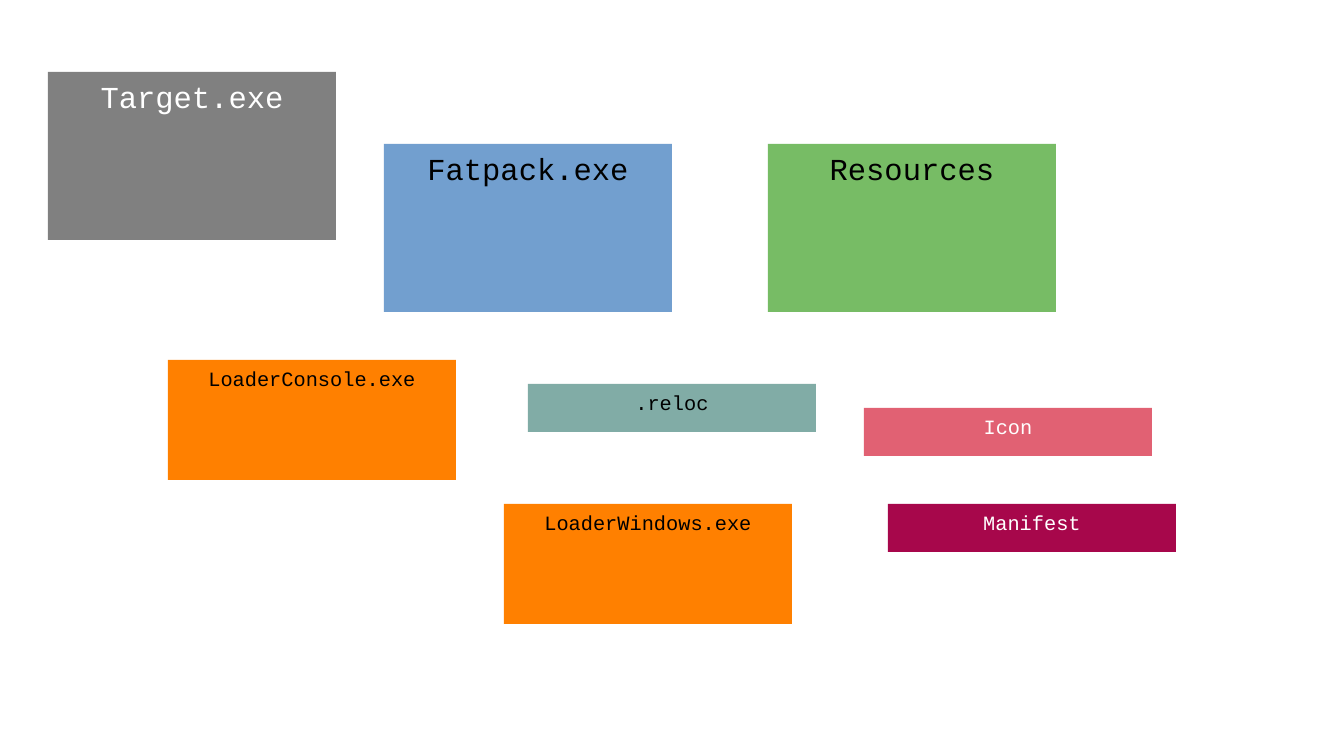
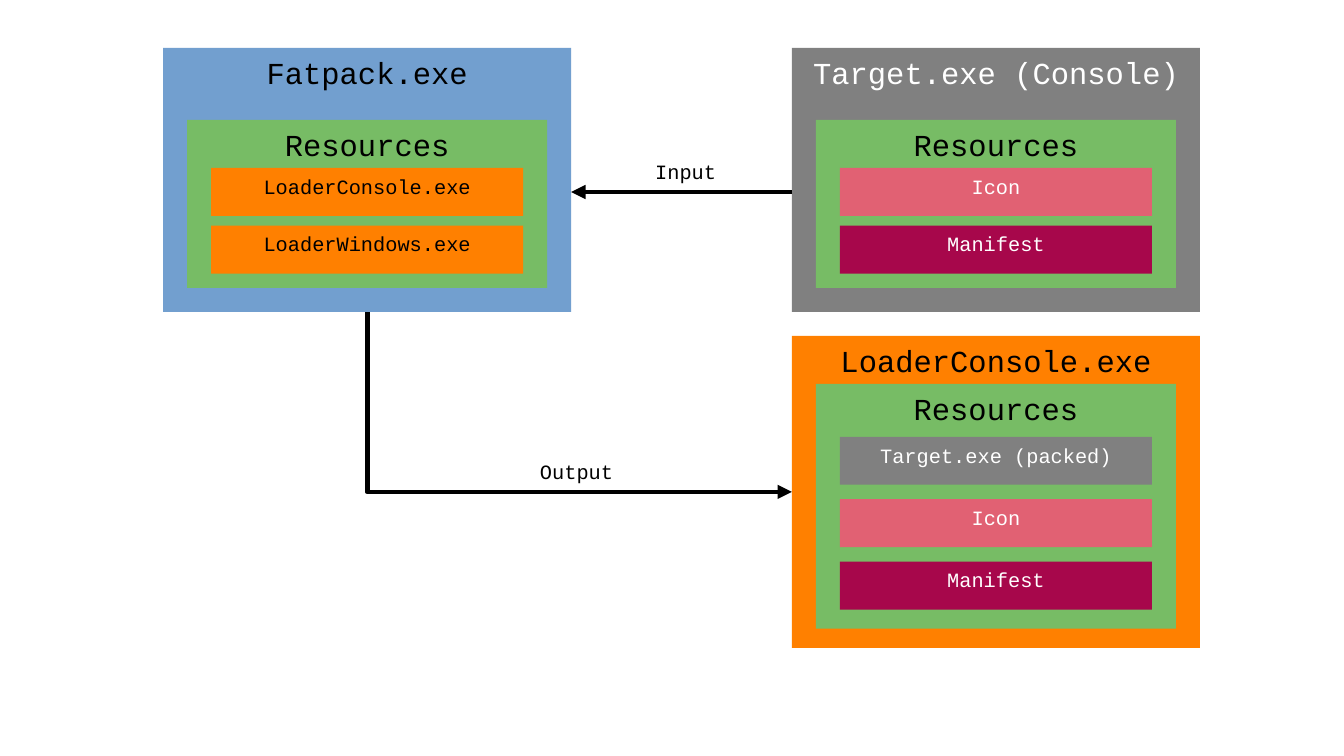
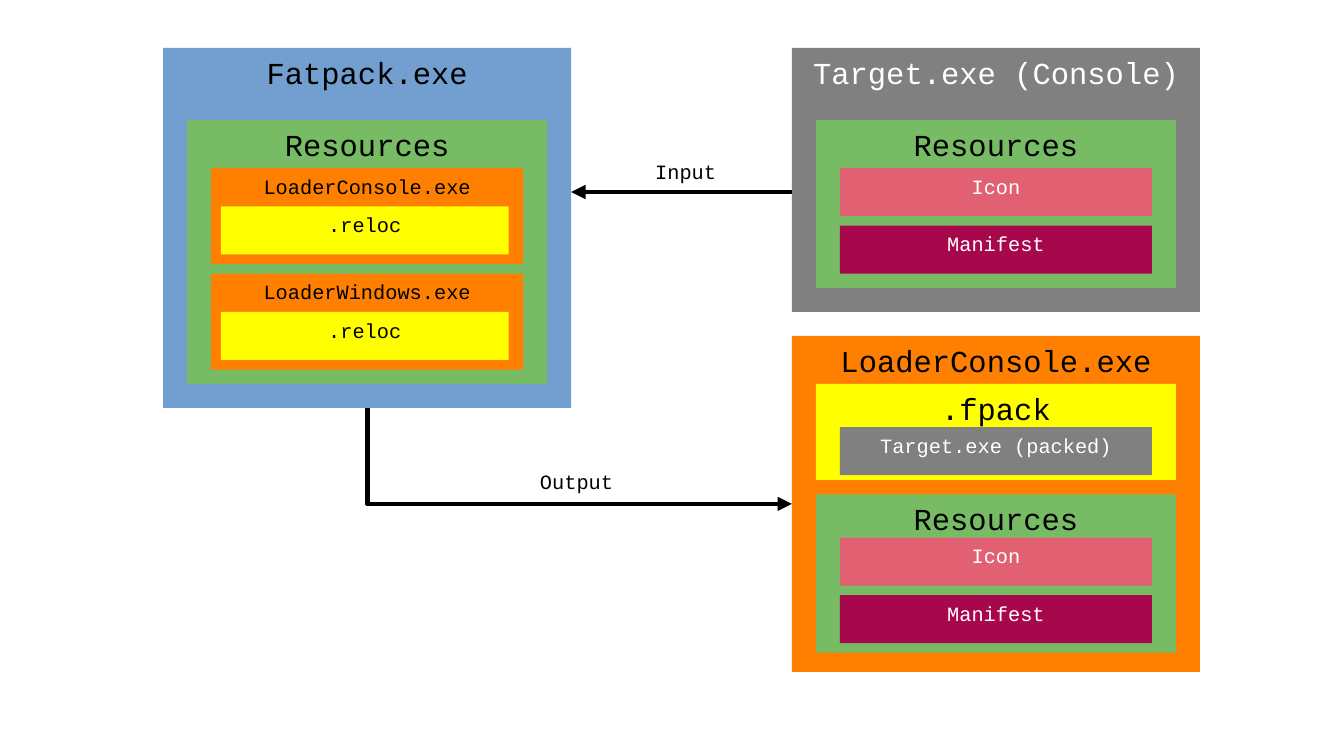
from dataclasses import dataclass

import lxml.etree
import pptx
import pptx.dml.color
import pptx.enum.shapes
import pptx.enum.text
import pptx.oxml.ns
import pptx.shapes.autoshape
import pptx.shapes.connector
import pptx.slide
import pptx.util

Cm = pptx.util.Cm
Pt = pptx.util.Pt
RGB = pptx.dml.color.RGBColor
Slide = pptx.slide.Slide
Shape = pptx.shapes.autoshape.Shape
Line = pptx.shapes.connector.Connector
Align = pptx.enum.text.PP_ALIGN
Link = pptx.enum.shapes.MSO_CONNECTOR


@dataclass(frozen=True)
class Look:
    fill: str
    ink: str


@dataclass(frozen=True)
class Theme:
    font: str = "Courier New"
    large: int = 18
    small: int = 12
    stroke: float = 2.83
    black: str = "000000"
    white: str = "FFFFFF"
    packer: Look = Look("729FCF", black)
    target: Look = Look("808080", white)
    store: Look = Look("77BC65", black)
    loader: Look = Look("FF8000", black)
    reloc: Look = Look("81ACA6", black)
    section: Look = Look("FFFF00", black)
    icon: Look = Look("E16173", white)
    manifest: Look = Look("A7074B", white)


THEME = Theme()


@dataclass(frozen=True)
class Box:
    """A labelled block, measured in centimetres."""
    text: str
    look: Look
    left: float
    top: float
    width: float
    height: float = 1
    size: int = THEME.small


LEFT, RIGHT = 3.4, 16.5
WIDTH, INSET = 8.5, 0.5
FLOW = 4


def nest(text: str, look: Look, side: float, depth: int, top: float,
         height: float = 1) -> Box:
    """Inset a block by its depth: 0 program, 1 section, 2 item."""
    size = THEME.small if depth == 2 else THEME.large
    return Box(text, look, side + depth * INSET, top,
               WIDTH - 2 * depth * INSET, height, size)


def pair(top: float, step: float) -> list[Box]:
    """Icon and manifest items, one above the other."""
    return [nest("Icon", THEME.icon, RIGHT, 2, top),
            nest("Manifest", THEME.manifest, RIGHT, 2, top + step)]


PARTS = [
    Box("Fatpack.exe", THEME.packer, 8, 3, 6, 3.5, THEME.large),
    Box("Resources", THEME.store, 16, 3, 6, 3.5, THEME.large),
    Box("LoaderConsole.exe", THEME.loader, 3.5, 7.5, 6, 2.5),
    Box(".reloc", THEME.reloc, 11, 8, 6),
    Box("LoaderWindows.exe", THEME.loader, 10.5, 10.5, 6, 2.5),
    Box("Icon", THEME.icon, 18, 8.5, 6),
    Box("Manifest", THEME.manifest, 18.5, 10.5, 6),
    Box("Target.exe", THEME.target, 1, 1.5, 6, 3.5, THEME.large),
]
TARGET = [
    nest("Target.exe (Console)", THEME.target, RIGHT, 0, 1, 5.5),
    nest("Resources", THEME.store, RIGHT, 1, 2.5, 3.5),
    *pair(3.5, 1.2),
]
LOADERS = ["LoaderConsole.exe", "LoaderWindows.exe"]


def write(shape: Shape, text: str, *, size: int = THEME.small,
          ink: str = THEME.black, align: Align = Align.LEFT,
          wrap: bool = True) -> None:
    frame = shape.text_frame
    frame.word_wrap = wrap
    frame.vertical_anchor = pptx.enum.text.MSO_ANCHOR.TOP
    para = frame.paragraphs[0]
    para.alignment = align
    run = para.add_run()
    run.text = text
    run.font.name = THEME.font
    run.font.size = Pt(size)
    run.font.color.rgb = RGB.from_string(ink)


def draw(slide: Slide, box: Box) -> Shape:
    shape = slide.shapes.add_shape(
        pptx.enum.shapes.MSO_SHAPE.RECTANGLE,
        Cm(box.left), Cm(box.top), Cm(box.width), Cm(box.height))
    shape.shadow.inherit = False
    shape.fill.solid()
    shape.fill.fore_color.rgb = RGB.from_string(box.look.fill)
    shape.line.fill.background()
    write(shape, box.text, size=box.size, ink=box.look.ink,
          align=Align.CENTER)
    return shape


def label(slide: Slide, text: str, left: float, top: float,
          width: float) -> None:
    shape = slide.shapes.add_textbox(Cm(left), Cm(top), Cm(width), Cm(0.74))
    write(shape, text, wrap=False)


def style(line: Line, tip: str) -> None:
    """Set the stroke and put an arrowhead at the tip, headEnd or tailEnd."""
    line.line.color.rgb = RGB.from_string(THEME.black)
    line.line.width = Pt(THEME.stroke)
    name = pptx.oxml.ns.qn
    lxml.etree.SubElement(line.line._get_or_add_ln(), name(f"a:{tip}"),
                          type="triangle")
    lxml.etree.SubElement(line._element.spPr, name("a:effectLst"))


def feed(slide: Slide) -> None:
    """Arrow from the target to the packer."""
    line = slide.shapes.add_connector(
        Link.STRAIGHT, Cm(RIGHT), Cm(FLOW), Cm(LEFT + WIDTH), Cm(FLOW))
    style(line, "tailEnd")
    label(slide, "Input", 13.4, 3.2, 1.78)


def yield_to(slide: Slide, packer: Shape, loader: Shape, top: float) -> None:
    """Bent arrow from below the packer to the left side of the loader."""
    line = slide.shapes.add_connector(
        Link.ELBOW, loader.left, loader.top + loader.height // 2,
        packer.left + packer.width // 2, packer.top + packer.height)
    line.begin_connect(loader, 1)
    line.end_connect(packer, 2)
    line._element.spPr.prstGeom.set("prst", "bentConnector2")
    style(line, "headEnd")
    label(slide, "Output", 11, top, 2.03)


def chart(slide: Slide, source: list[Box], result: list[Box],
          top: float) -> None:
    """Draw a packing flow; the first box of each list is its program."""
    packer = [draw(slide, box) for box in source][0]
    for box in TARGET:
        draw(slide, box)
    loader = [draw(slide, box) for box in result][0]
    feed(slide)
    yield_to(slide, packer, loader, top)


def basic(slide: Slide) -> None:
    source = [
        nest("Fatpack.exe", THEME.packer, LEFT, 0, 1, 5.5),
        nest("Resources", THEME.store, LEFT, 1, 2.5, 3.5),
        *(nest(text, THEME.loader, LEFT, 2, 3.5 + 1.2 * row)
          for row, text in enumerate(LOADERS)),
    ]
    result = [
        nest("LoaderConsole.exe", THEME.loader, RIGHT, 0, 7, 6.5),
        nest("Resources", THEME.store, RIGHT, 1, 8, 5.1),
        nest("Target.exe (packed)", THEME.target, RIGHT, 2, 9.1),
        *pair(10.4, 1.3),
    ]
    chart(slide, source, result, 9.45)


def split(slide: Slide) -> None:
    """Flow with the packed target in a section of its own."""
    source = [
        nest("Fatpack.exe", THEME.packer, LEFT, 0, 1, 7.5),
        nest("Resources", THEME.store, LEFT, 1, 2.5, 5.5),
    ]
    for row, text in enumerate(LOADERS):
        top = 3.5 + 2.2 * row
        source += [nest(text, THEME.loader, LEFT, 2, top, 2),
                   Box(".reloc", THEME.section, 4.6, top + 0.8, 6)]
    result = [
        nest("LoaderConsole.exe", THEME.loader, RIGHT, 0, 7, 7),
        nest(".fpack", THEME.section, RIGHT, 1, 8, 2),
        nest("Target.exe (packed)", THEME.target, RIGHT, 2, 8.9),
        nest("Resources", THEME.store, RIGHT, 1, 10.3, 3.3),
        *pair(11.2, 1.2),
    ]
    chart(slide, source, result, 9.65)


def parts(slide: Slide) -> None:
    for box in PARTS:
        draw(slide, box)


def main() -> None:
    deck = pptx.Presentation()
    deck.slide_width, deck.slide_height = Cm(28), Cm(15.75)
    blank = deck.slide_layouts[6]
    for build in (parts, basic, split):
        build(deck.slides.add_slide(blank))
    deck.save("out.pptx")


if __name__ == "__main__":
    main()
